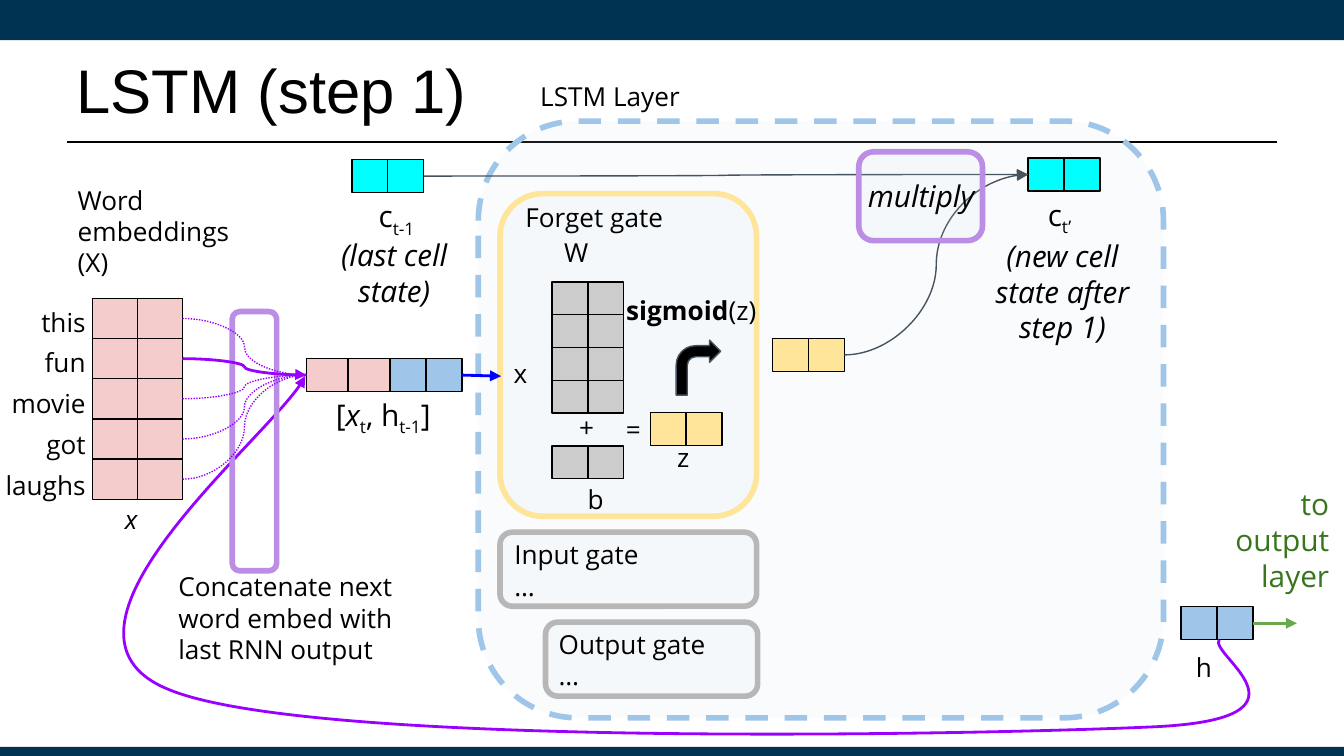
"""Build the slide that shows step 1 of an LSTM layer, the forget gate."""
from dataclasses import dataclass
from typing import NamedTuple, Optional

from lxml import etree
from pptx import Presentation
from pptx import util as u
from pptx.dml.color import RGBColor
from pptx.enum import dml, shapes, text
from pptx.oxml import ns

LEFT, CENTER, RIGHT = text.PP_ALIGN.LEFT, text.PP_ALIGN.CENTER, text.PP_ALIGN.RIGHT
TOP_SIDE, LEFT_SIDE, BOTTOM_SIDE, RIGHT_SIDE = range(4)


@dataclass(frozen=True)
class Theme:
    navy: str = "003252"
    black: str = "000000"
    pale: str = "CFE2F3"
    blue: str = "9FC5E8"
    yellow: str = "FFE599"
    pink: str = "F4CCCC"
    gray: str = "CCCCCC"
    frame_gray: str = "B7B7B7"
    cyan: str = "00FFFF"
    lilac: str = "BC8DE5"
    purple: str = "9900FF"
    slate: str = "46535E"
    arrow_blue: str = "0000FF"
    arrow_green: str = "6AA84F"
    text_green: str = "38761D"
    body_font: str = "Open Sans"
    title_font: str = "Arial"
    title: int = 33
    large: int = 16
    body: int = 14
    thin: float = 0.75
    medium: float = 1.5
    thick: float = 3


THEME = Theme()


class Box(NamedTuple):
    left: float
    top: float
    width: float
    height: float

    def lengths(self) -> list:
        return [u.Cm(value) for value in self]


class Run(NamedTuple):
    text: str
    italic: bool = False
    baseline: int = 0


@dataclass(frozen=True)
class Label:
    text: str
    box: Box
    size: int = THEME.body
    align: text.PP_ALIGN = LEFT
    middle: bool = False
    bold: bool = False
    italic: bool = False
    color: str = THEME.black
    font: str = THEME.body_font
    spacing: Optional[float] = None
    inset: float = 0.25
    tail: tuple[Run, ...] = ()


@dataclass(frozen=True)
class Frame:
    box: Box
    line: str
    fill: Optional[str] = THEME.pale
    dashed: bool = False


@dataclass(frozen=True)
class Cells:
    left: float
    top: float
    fill: str
    rows: int = 1
    width: float = 0.68
    height: float = 0.62


def color(value: str) -> RGBColor:
    return RGBColor.from_string(value)


def draw_shape(slide, kind, box: Box, fill: Optional[str], line: Optional[str], weight=THEME.thin):
    shape = slide.shapes.add_shape(kind, *box.lengths())
    shape.shadow.inherit = False
    if fill:
        shape.fill.solid()
        shape.fill.fore_color.rgb = color(fill)
    else:
        shape.fill.background()
    if line:
        shape.line.color.rgb = color(line)
        shape.line.width = u.Pt(weight)
    else:
        shape.line.fill.background()
    return shape


def draw_frame(slide, frame: Frame):
    kind = shapes.MSO_SHAPE.ROUNDED_RECTANGLE
    shape = draw_shape(slide, kind, frame.box, frame.fill, frame.line, THEME.thick)
    if frame.fill:
        fill_color = shape.fill._xPr.find(".//" + ns.qn("a:srgbClr"))
        etree.SubElement(fill_color, ns.qn("a:alpha"), val="11000")
    if frame.dashed:
        shape.line.dash_style = dml.MSO_LINE.DASH
    return shape


def draw_cells(slide, cells: Cells) -> list:
    """Draw rows of two cells and return them as a list of rows."""
    return [[draw_shape(slide, shapes.MSO_SHAPE.RECTANGLE,
                        Box(cells.left + column * cells.width, cells.top + row * cells.height,
                            cells.width, cells.height), cells.fill, THEME.black)
             for column in range(2)] for row in range(cells.rows)]


def add_arrowhead(shape) -> None:
    etree.SubElement(shape.line._get_or_add_ln(), ns.qn("a:tailEnd"), type="triangle")


def draw_connector(slide, line: str, weight: float, start=None, end=None, points=(0, 0, 0, 0),
                   curved=False, dotted=False, arrow=True) -> None:
    """Draw a line from the right side of start to the left side of end, or between points."""
    kind = shapes.MSO_CONNECTOR.CURVE if curved else shapes.MSO_CONNECTOR.STRAIGHT
    connector = slide.shapes.add_connector(kind, *[u.Cm(value) for value in points])
    if start is not None:
        connector.begin_connect(start, RIGHT_SIDE)
    if end is not None:
        connector.end_connect(end, LEFT_SIDE)
    connector.line.color.rgb = color(line)
    connector.line.width = u.Pt(weight)
    if dotted:
        connector.line.dash_style = dml.MSO_LINE.ROUND_DOT
    if arrow:
        add_arrowhead(connector)
    etree.SubElement(connector._element.spPr, ns.qn("a:effectLst"))


def draw_loop(slide, box: Box, start: tuple, curves: list) -> None:
    """Draw an open Bezier outline, each curve given by three points."""
    left, top, width, height = box.lengths()
    builder = slide.shapes.build_freeform(left, top)
    builder.add_line_segments([(left + width, top + height)], close=False)
    shape = builder.convert_to_shape()
    outline = shape._element.find(".//" + ns.qn("a:path"))
    for child in list(outline):
        outline.remove(child)
    for tag, points in [("a:moveTo", [start])] + [("a:cubicBezTo", curve) for curve in curves]:
        step = etree.SubElement(outline, ns.qn(tag))
        for x, y in points:
            etree.SubElement(step, ns.qn("a:pt"), x=str(u.Cm(x) - left), y=str(u.Cm(y) - top))
    shape.shadow.inherit = False
    shape.fill.background()
    shape.line.color.rgb = color(THEME.purple)
    shape.line.width = u.Pt(THEME.medium)
    add_arrowhead(shape)


def draw_label(slide, label: Label) -> None:
    frame = slide.shapes.add_textbox(*label.box.lengths()).text_frame
    frame.word_wrap = True
    frame.vertical_anchor = text.MSO_ANCHOR.MIDDLE if label.middle else text.MSO_ANCHOR.TOP
    frame.margin_left = u.Cm(label.inset)
    frame.margin_top = frame.margin_right = frame.margin_bottom = u.Cm(0.25)
    frame.text = label.text
    for paragraph in frame.paragraphs:
        paragraph.alignment = label.align
        paragraph.line_spacing = label.spacing
        paragraph.runs[0].font.bold = label.bold
        paragraph.runs[0].font.italic = label.italic
        for piece in label.tail:
            run = paragraph.add_run()
            run.text = piece.text
            run.font.italic = piece.italic
            if piece.baseline:
                run.font._element.set("baseline", str(piece.baseline * 1000))
        for run in paragraph.runs:
            run.font.name = label.font
            run.font.size = u.Pt(label.size)
            run.font.color.rgb = color(label.color)


LABELS = [
    Label("LSTM (step 1)", Box(1.27, 0.48, 22.86, 2.39), THEME.title, middle=True,
          font=THEME.title_font, inset=0.18),
    Label("LSTM Layer", Box(9.96, 1.27, 6.27, 1.04)),
    Label("Word embeddings (X)", Box(1.22, 3.23, 3.56, 2.57)),
    Label("this\nfun\nmovie\ngot\nlaughs", Box(-0.03, 5.36, 1.9, 3.78), align=RIGHT,
          spacing=1.3, inset=0),
    Label("x", Box(2.11, 9.27, 1.37, 1.04), italic=True),
    Label("Concatenate next word embed with last RNN output", Box(3.12, 10.54, 4.62, 2.31)),
    Label("[", Box(6.1, 7.24, 2.62, 1.04), THEME.large,
          tail=(Run("x", True), Run("t", baseline=-25), Run(", h"),
                Run("t-1", baseline=-25), Run("]"))),
    Label("c", Box(5.87, 3.38, 3.25, 1.04), THEME.large, CENTER, spacing=1.15,
          tail=(Run("t-1", baseline=-25),)),
    Label("(last cell state)", Box(5.56, 4.22, 3.78, 1.88), THEME.large, CENTER, italic=True),
    Label("c", Box(19.43, 3.35, 1.19, 1.19), THEME.large, CENTER, spacing=1.15,
          tail=(Run("t’", baseline=-25),)),
    Label("(new cell state after step 1)", Box(18.19, 4.24, 3.78, 2.57), THEME.large, CENTER,
          italic=True),
    Label("multiply", Box(15.52, 3.1, 3.78, 1.19), THEME.large, CENTER, italic=True),
    Label("Forget gate", Box(9.68, 3.56, 4.62, 0.94)),
    Label("W", Box(10.41, 4.29, 1.9, 0.43)),
    Label("x", Box(8.89, 6.83, 1.9, 0.43), align=CENTER, middle=True),
    Label("+", Box(10.21, 7.85, 1.75, 0.43), align=CENTER, middle=True),
    Label("=", Box(11.02, 7.9, 1.9, 0.43), align=CENTER, middle=True),
    Label("b", Box(10.31, 9.22, 1.9, 0.43), align=CENTER, middle=True),
    Label("z", Box(12.55, 8.1, 0.84, 1.14)),
    Label("sigmoid", Box(11.58, 5.31, 2.97, 1.07), align=CENTER, bold=True, tail=(Run("(z)"),)),
    Label("Input gate\n…", Box(9.47, 9.93, 4.62, 1.24)),
    Label("Output gate\n…", Box(10.31, 11.63, 4.62, 1.24)),
    Label("h", Box(22.35, 12.07, 1.37, 1.04)),
    Label("to output layer", Box(23.06, 8.94, 2.31, 3.05), THEME.large, RIGHT,
          color=THEME.text_green),
]


def main() -> None:
    presentation = Presentation()
    presentation.slide_width, presentation.slide_height = u.Cm(25.4), u.Cm(14.29)
    slide = presentation.slides.add_slide(presentation.slide_layouts[6])

    for bar in (Box(0, 0, 25.4, 0.76), Box(0, 14.12, 25.4, 0.17)):
        draw_shape(slide, shapes.MSO_SHAPE.RECTANGLE, bar, THEME.navy, None)
    draw_connector(slide, THEME.black, 1.25, points=(1.27, 2.69, 24.13, 2.69), arrow=False)

    for frame in (Frame(Box(9.04, 2.29, 12.95, 11.28), THEME.blue, dashed=True),
                  Frame(Box(9.45, 3.66, 4.85, 6.1), THEME.yellow),
                  Frame(Box(9.45, 10.06, 4.85, 1.4), THEME.frame_gray),
                  Frame(Box(10.31, 11.76, 4.01, 1.4), THEME.frame_gray)):
        draw_frame(slide, frame)

    words = draw_cells(slide, Cells(1.75, 5.64, THEME.pink, 5, 0.85, 0.76))
    [word_input] = draw_cells(slide, Cells(5.79, 6.78, THEME.pink, width=0.79))
    [hidden_input] = draw_cells(slide, Cells(7.37, 6.78, THEME.blue))
    [last_state] = draw_cells(slide, Cells(6.65, 3.02, THEME.cyan))
    [new_state] = draw_cells(slide, Cells(19.43, 2.99, THEME.cyan))
    [gate_output] = draw_cells(slide, Cells(14.6, 6.4, THEME.yellow))
    [hidden_output] = draw_cells(slide, Cells(22.32, 11.47, THEME.blue))
    for cells in (Cells(10.43, 5.33, THEME.gray, 4), Cells(10.43, 8.43, THEME.gray),
                  Cells(12.29, 7.8, THEME.yellow)):
        draw_cells(slide, cells)
    draw_shape(slide, shapes.MSO_SHAPE.BENT_ARROW, Box(12.78, 6.43, 0.84, 1.04),
               THEME.black, THEME.slate)

    draw_loop(slide, Box(2.36, 7.11, 21.23, 6.78), (23.04, 12.09),
              [[(22.83, 12.37), (25.1, 13.59), (21.79, 13.74)],
               [(18.49, 13.89), (5.84, 14.15), (3.18, 13.03)],
               [(0.51, 11.94), (5.33, 8.08), (5.77, 7.11)]])
    draw_frame(slide, Frame(Box(4.39, 5.89, 0.84, 4.9), THEME.lilac, None))
    for index, word in enumerate(words):
        current = index == 1
        draw_connector(slide, THEME.purple, THEME.medium if current else THEME.thin, word[1],
                       word_input[0], curved=True, dotted=not current, arrow=index == 0)
    for source in (gate_output, last_state):
        draw_connector(slide, THEME.slate, THEME.thin, source[1], new_state[0], curved=True)
    draw_connector(slide, THEME.arrow_blue, THEME.medium, hidden_input[1],
                   points=(8.73, 7.09, 9.47, 7.11))
    draw_connector(slide, THEME.arrow_green, THEME.medium, hidden_output[1],
                   points=(23.68, 11.78, 24.51, 11.78))
    draw_frame(slide, Frame(Box(16.23, 2.87, 2.34, 1.68), THEME.lilac))

    for label in LABELS:
        draw_label(slide, label)
    presentation.save("out.pptx")


if __name__ == "__main__":
    main()
